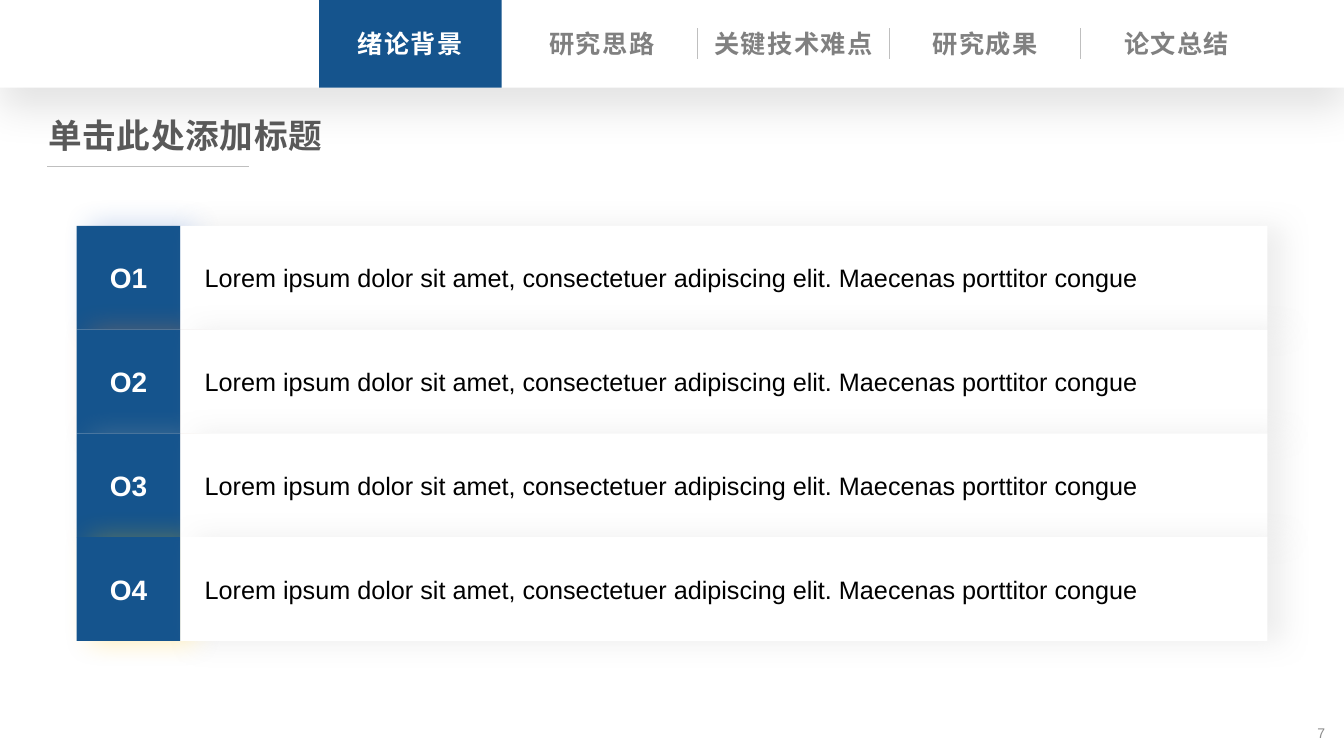
from dataclasses import dataclass

from lxml.etree import SubElement
from pptx import Presentation
from pptx.dml.color import RGBColor as RGB
from pptx.enum.shapes import MSO_CONNECTOR as CONNECTOR, MSO_SHAPE as SHAPE
from pptx.enum.text import MSO_ANCHOR as ANCHOR, PP_ALIGN as ALIGN
from pptx.oxml.ns import qn
from pptx.util import Inches, Pt


@dataclass(frozen=True)
class Theme:
    latin: str = "Arial"
    cjk: str = "Noto Sans CJK SC"
    blue: str = "15548D"
    white: str = "FFFFFF"
    black: str = "000000"
    title: str = "595959"
    muted: str = "808080"
    number: str = "8C8C8C"
    rule: str = "BFBFBF"
    row_shadow: str = "A6A6A6"
    badge_shadows: tuple = ("4472C4", "ED7D31", "A5A5A5", "FFC000")
    title_size: int = 24
    badge_size: int = 20
    body_size: int = 18
    number_size: int = 10
    rule_width: float = 0.5


T = Theme()
SLIDE_W, SLIDE_H = 13.33, 7.5

TABS = ("绪论背景", "研究思路", "关键技术难点", "研究成果", "论文总结")
TAB_CENTER, TAB_PITCH, TAB_W = 4.07, 1.9, 1.81
HEADER_H = 0.87

ROW_TEXT = "Lorem ipsum dolor sit amet, consectetuer adipiscing elit. Maecenas porttitor congue"
ROW_LEFT, ROW_TOP, ROW_H, ROW_W = 1.79, 2.24, 1.03, 10.78


def set_all(obj, values):
    for name, value in values.items():
        setattr(obj, name, value)


def write(sp, text, size, color, bold=False, align=ALIGN.LEFT, anchor=ANCHOR.MIDDLE,
          wrap=True, latin=T.latin, spacing=0, leading=None, inset=0.1):
    """Fill a shape with one paragraph; spacing is the letter spacing in points."""
    tf = sp.text_frame
    set_all(tf, {"word_wrap": wrap, "vertical_anchor": anchor, "margin_left": Inches(inset)})
    p = tf.paragraphs[0]
    set_all(p, {"alignment": align, "line_spacing": leading})
    r = p.add_run()
    r.text = text
    set_all(r.font, {"size": Pt(size), "bold": bold, "name": latin})
    r.font.color.rgb = RGB.from_string(color)
    rpr = r.font._element
    if spacing:
        rpr.set("spc", str(int(spacing * 100)))
    SubElement(rpr, qn("a:ea"), typeface=T.cjk)


def add_label(s, box, text, size, color, **fmt):
    write(s.shapes.add_textbox(*map(Inches, box)), text, size, color, **fmt)


def add_block(s, box, color, shadow=None):
    """Add a plain rectangle; shadow is colour, opacity %, blur pt, distance pt, degrees."""
    sp = s.shapes.add_shape(SHAPE.RECTANGLE, *map(Inches, box))
    sp.fill.solid()
    sp.fill.fore_color.rgb = RGB.from_string(color)
    sp.line.fill.background()
    sp.shadow.inherit = False
    if shadow:
        tint, opacity, blur, dist, angle = shadow
        effects = sp._element.spPr.find(qn("a:effectLst"))
        outer = SubElement(effects, qn("a:outerShdw"), blurRad=str(Pt(blur)), dist=str(Pt(dist)),
                           dir=str(angle * 60000), algn="ctr", rotWithShape="0")
        clr = SubElement(outer, qn("a:srgbClr"), val=tint)
        SubElement(clr, qn("a:alpha"), val=str(opacity * 1000))
    return sp


def add_rule(s, *ends):
    cx = s.shapes.add_connector(CONNECTOR.STRAIGHT, *map(Inches, ends))
    cx.line.color.rgb = RGB.from_string(T.rule)
    cx.line.width = Pt(T.rule_width)
    SubElement(cx._element.spPr, qn("a:effectLst"))


def add_tabs(s, active=0):
    centers = [TAB_CENTER + TAB_PITCH * i for i in range(len(TABS))]
    add_block(s, (centers[active] - TAB_W / 2, 0, TAB_W, HEADER_H), T.blue)
    for center in centers[2:]:
        x = center - TAB_PITCH / 2
        add_rule(s, x, 0.28, x, 0.59)
    for i, (center, name) in enumerate(zip(centers, TABS)):
        add_label(s, (center - TAB_W / 2, 0.23, TAB_W, 0.4), name, T.body_size,
                  T.white if i == active else T.muted, bold=True, align=ALIGN.CENTER,
                  anchor=ANCHOR.TOP, wrap=False, spacing=1)


def add_rows(s):
    tops = [ROW_TOP + ROW_H * i for i in range(len(T.badge_shadows))]
    for i, (top, tint) in enumerate(zip(tops, T.badge_shadows), 1):
        sp = add_block(s, (ROW_LEFT - ROW_H, top, ROW_H, ROW_H), T.blue, (tint, 32, 20, 10, 0))
        write(sp, f"O{i}", T.badge_size, T.white, bold=True, align=ALIGN.CENTER)
    for top in tops:
        sp = add_block(s, (ROW_LEFT, top, ROW_W, ROW_H), T.white, (T.row_shadow, 20, 20, 10, 0))
        write(sp, ROW_TEXT, T.body_size, T.black, inset=0.24)


def main():
    prs = Presentation()
    set_all(prs, {"slide_width": Inches(SLIDE_W), "slide_height": Inches(SLIDE_H)})
    s = prs.slides.add_slide(prs.slide_layouts[6])
    s.background.fill.solid()
    s.background.fill.fore_color.rgb = RGB.from_string(T.white)
    add_block(s, (0, 0, SLIDE_W, HEADER_H), T.white, (T.black, 11, 28, 15, 90))
    add_label(s, (10.24, 7.07, 3, 0.4), "7", T.number_size, T.number, align=ALIGN.RIGHT)
    add_label(s, (0.38, 1.14, 2.95, 0.46), "单击此处添加标题", T.title_size, T.title,
              bold=True, wrap=False, latin=T.cjk, spacing=0.5, leading=0.9)
    add_rule(s, 0.47, 1.65, 2.47, 1.65)
    add_tabs(s)
    add_rows(s)
    prs.save("out.pptx")


if __name__ == "__main__":
    main()
